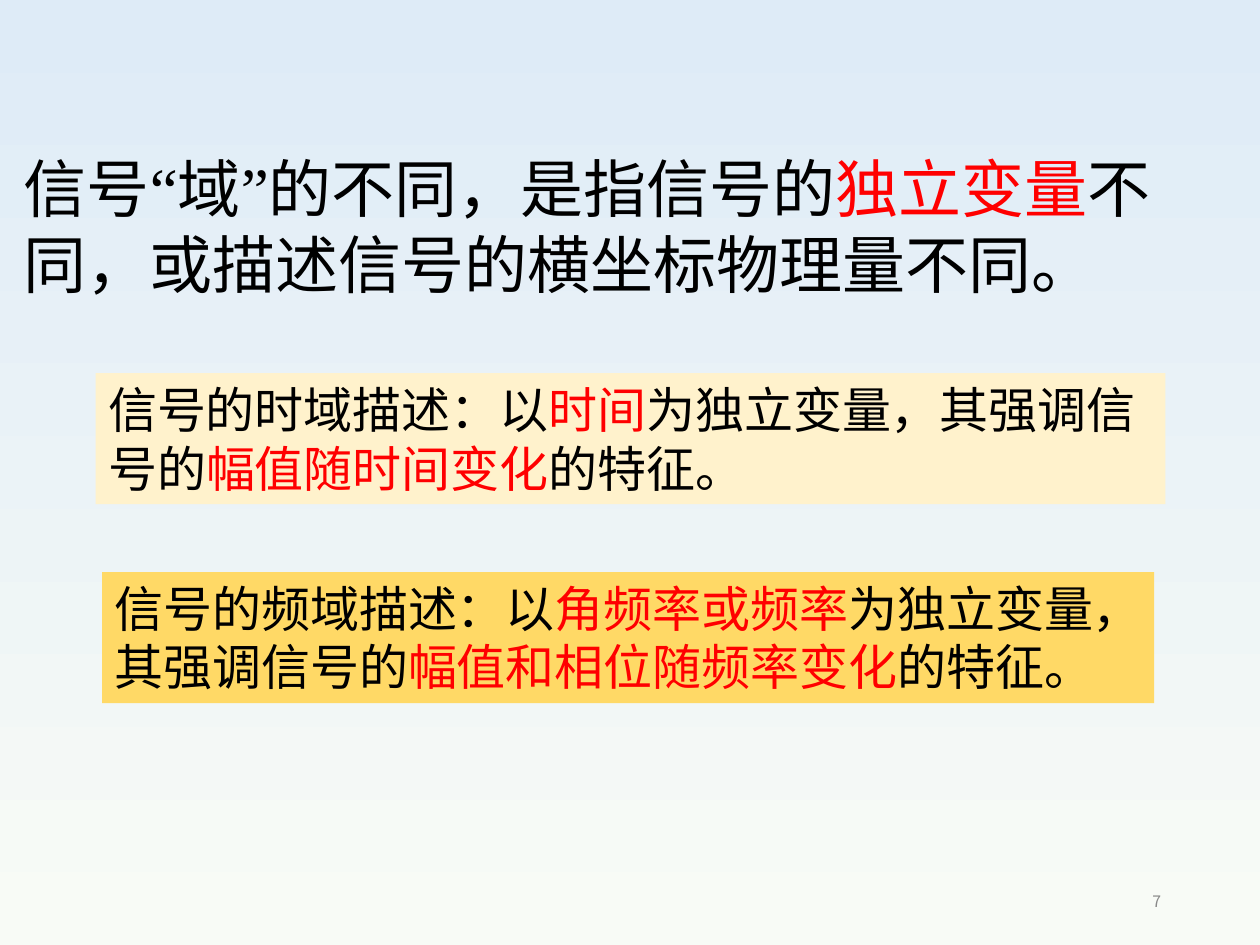
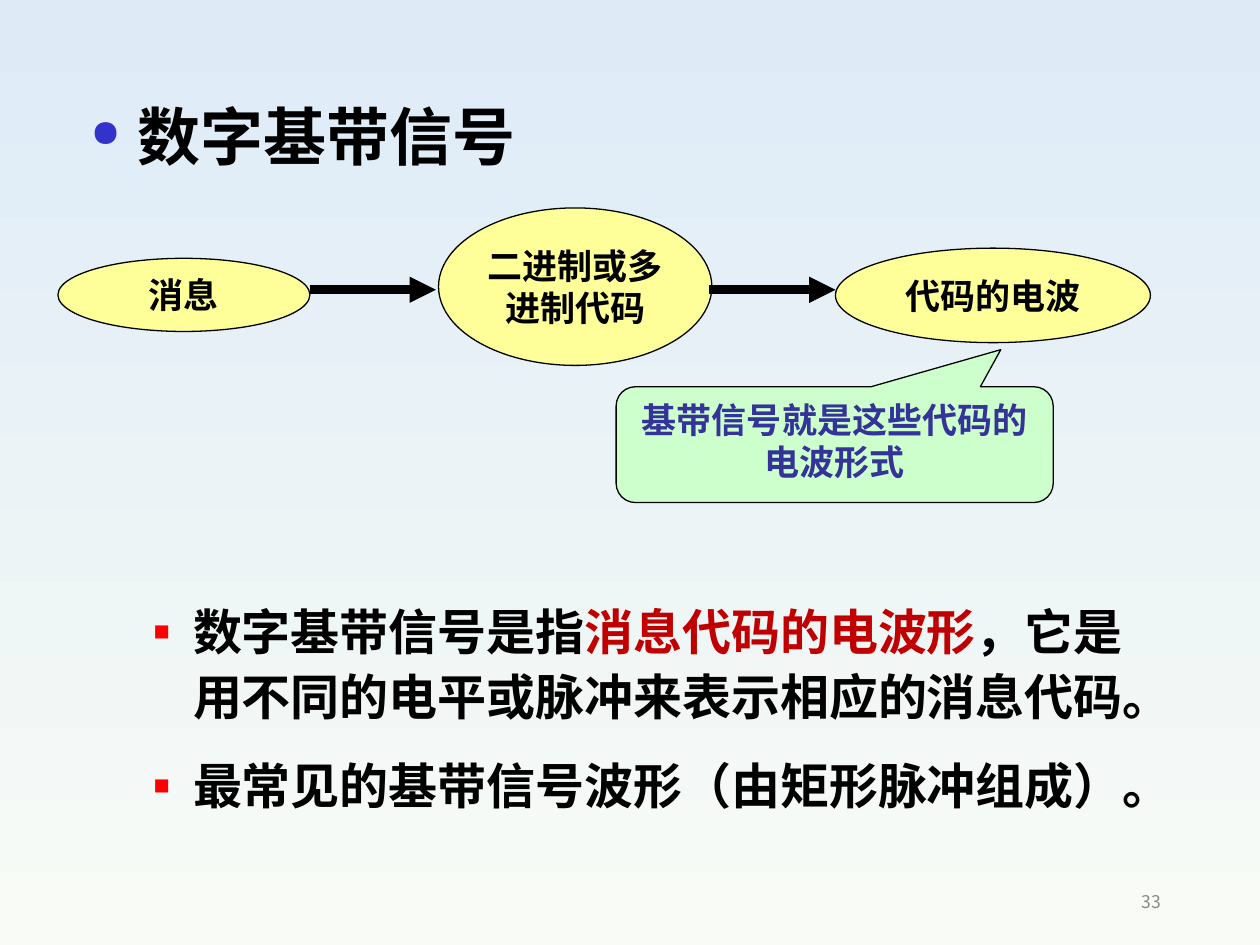
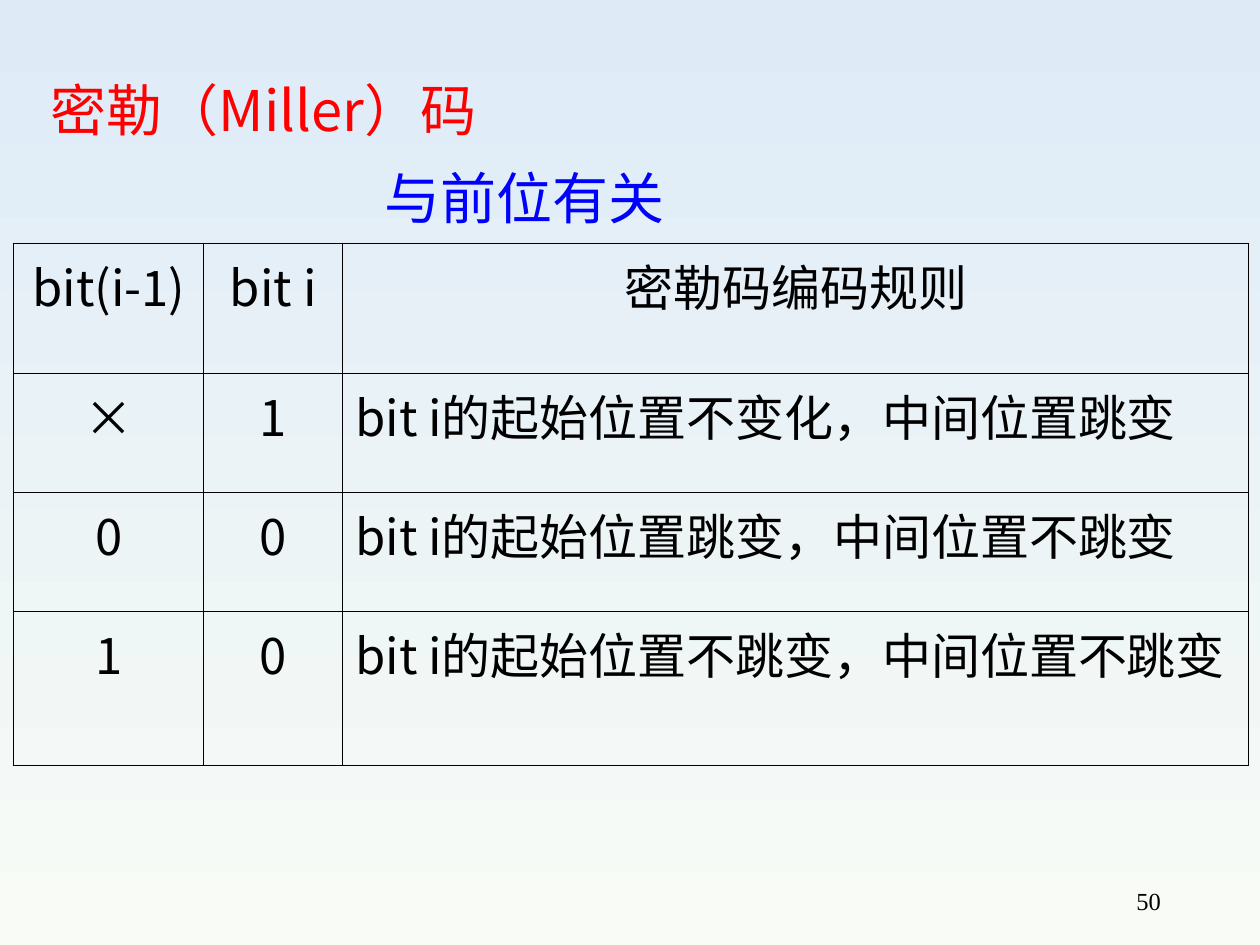
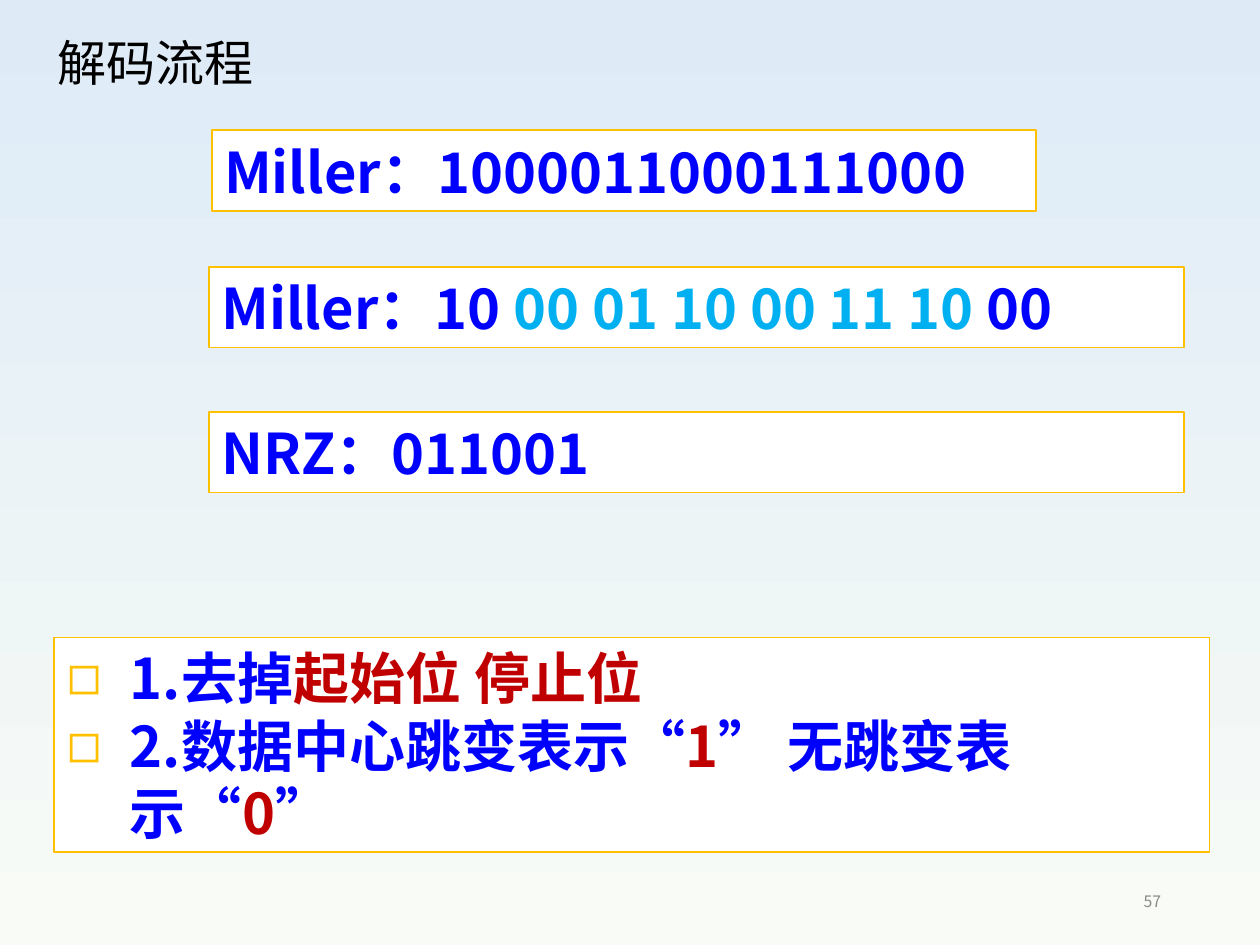
"""Build four lecture slides on signal domains, baseband signals and Miller code."""
from lxml.etree import SubElement
from pptx import Presentation
from pptx.dml.color import RGBColor
from pptx.enum.shapes import MSO_CONNECTOR, MSO_SHAPE
from pptx.enum.text import MSO_ANCHOR, MSO_AUTO_SIZE, PP_ALIGN
from pptx.oxml.ns import qn
from pptx.util import Pt

SANS, SANS_KR, SERIF = "Noto Sans CJK SC", "Noto Sans CJK KR", "Times New Roman"
BLACK, WHITE, RED, DARK_RED = "000000", "FFFFFF", "FF0000", "C00000"
BLUE, SKY, NAVY, INDIGO = "0000FF", "00B0F0", "333399", "3333CC"
GOLD, GRAY, YELLOW, MINT = "FFC000", "898989", "FFFF99", "CCFFCC"
SKY_TOP, SKY_BOTTOM = "DEEBF7", "F8FBF6"
TITLE_ONLY, TITLE_BODY = 5, 1
LEFT, CENTER, RIGHT = PP_ALIGN.LEFT, PP_ALIGN.CENTER, PP_ALIGN.RIGHT
TOP, MIDDLE = MSO_ANCHOR.TOP, MSO_ANCHOR.MIDDLE


def rgb(hex_color):
    return RGBColor.from_string(hex_color)


def add_run(p, text, size, color, font, bold):
    r = p.add_run()
    r.text = text
    r.font.size, r.font.bold, r.font.name = Pt(size), bold, font
    r.font.color.rgb = rgb(color)
    SubElement(r._r.get_or_add_rPr(), qn("a:ea")).set("typeface", font)


def add_bullet(p, char, color, indent, margin, percent=100):
    pPr = p._p.get_or_add_pPr()
    pPr.set("marL", str(Pt(margin)))
    pPr.set("indent", str(-Pt(indent)))
    clr = SubElement(pPr, qn("a:buClr"))
    SubElement(clr, qn("a:srgbClr")).set("val", color)
    SubElement(pPr, qn("a:buSzPct")).set("val", str(percent * 1000))
    SubElement(pPr, qn("a:buChar")).set("char", char)


def write(tf, paragraphs, size, color=BLACK, font=SANS, bold=False, align=LEFT,
          anchor=MIDDLE, wrap=True, leading=1.2, gap=0, bullet=None):
    """Fill a text frame; a run is text, or (text, color), or (text, color, font)."""
    tf.word_wrap, tf.auto_size, tf.vertical_anchor = wrap, MSO_AUTO_SIZE.NONE, anchor
    for i, runs in enumerate(paragraphs):
        p = tf.add_paragraph() if i else tf.paragraphs[0]
        if bullet:
            add_bullet(p, **bullet)
        p.alignment = align
        if leading:
            p.line_spacing = Pt(round(size * leading, 1))
        p.space_before = Pt(gap if i else 0)
        for run in runs:
            text, run_color, run_font = (
                (run, color, font) if isinstance(run, str) else (*run, font)[:3])
            add_run(p, text, size, run_color, run_font, bold)


def place(sp, left, top, width, height):
    sp.left, sp.top, sp.width, sp.height = Pt(left), Pt(top), Pt(width), Pt(height)


def paint(sp, fill, line=None, weight=1):
    sp.fill.solid()
    sp.fill.fore_color.rgb = rgb(fill)
    if line:
        sp.line.color.rgb = rgb(line)
        sp.line.width = Pt(weight)
    else:
        sp.line.fill.background()


def add_title(s, box, runs, size, **style):
    sp = s.shapes.title
    place(sp, *box)
    write(sp.text_frame, [runs], size, **style)


def add_list(s, box, paragraphs, size, **style):
    sp = s.placeholders[1]
    place(sp, *box)
    write(sp.text_frame, paragraphs, size, **style)
    return sp


def add_text(s, box, paragraphs, size, **style):
    sp = s.shapes.add_textbox(*map(Pt, box))
    write(sp.text_frame, paragraphs, size, **style)


def add_panel(s, kind, box, fill, paragraphs, size, line=None, weight=1, **style):
    sp = s.shapes.add_shape(kind, *map(Pt, box))
    sp.shadow.inherit = False
    paint(sp, fill, line, weight)
    write(sp.text_frame, paragraphs, size, **style)
    return sp


def add_arrow(s, x1, x2, y):
    cx = s.shapes.add_connector(MSO_CONNECTOR.STRAIGHT, Pt(x1), Pt(y), Pt(x2), Pt(y))
    cx.line.color.rgb = rgb(BLACK)
    cx.line.width = Pt(5)
    SubElement(cx.line._get_or_add_ln(), qn("a:tailEnd")).set("type", "triangle")
    SubElement(cx._element.spPr, qn("a:effectLst"))


def add_border(cell, side, weight):
    ln = SubElement(cell._tc.get_or_add_tcPr(), qn(f"a:ln{side}"))
    ln.set("w", str(Pt(weight)))
    fill = SubElement(ln, qn("a:solidFill"))
    SubElement(fill, qn("a:srgbClr")).set("val", BLACK)


def add_grid(s, left, top, widths, heights, rows, size):
    frame = s.shapes.add_table(len(heights), len(widths), Pt(left), Pt(top),
                               Pt(sum(widths)), Pt(sum(heights)))
    table = frame.table
    table.first_row = table.horz_banding = False
    for column, width in zip(table.columns, widths):
        column.width = Pt(width)
    last_row, last_col = len(heights) - 1, len(widths) - 1
    for i, row in enumerate(rows):
        table.rows[i].height = Pt(heights[i])
        for j, text in enumerate(row):
            cell = table.cell(i, j)
            outer = {"L": j == 0, "R": j == last_col, "T": i == 0, "B": i == last_row}
            for side, is_outer in outer.items():
                add_border(cell, side, 0.75 if is_outer else 0.45)
            cell.fill.background()
            align = LEFT if i and j == last_col else CENTER
            write(cell.text_frame, [[text]], size, align=align, leading=None)
            cell.vertical_anchor = TOP


def add_slide(prs, layout, number, size=9, color=GRAY, font=SANS_KR):
    s = prs.slides.add_slide(prs.slide_layouts[layout])
    add_text(s, (508.5, 500.5, 162, 28.8), [[number]], size,
             color=color, font=font, align=RIGHT)
    return s


def set_background(prs):
    fill = prs.slide_master.background.fill
    fill.gradient()
    fill.gradient_angle = 270
    for stop, color in zip(fill.gradient_stops, (SKY_TOP, SKY_BOTTOM)):
        stop.color.rgb = rgb(color)


def build_domains(prs):
    s = add_slide(prs, TITLE_ONLY, "7")
    add_title(s, (6.5, 82, 665, 93.6),
              ["信号", ("“", BLACK, SERIF), "域", ("”", BLACK, SERIF),
               "的不同，是指信号的", ("独立变量", RED),
               "不同，或描述信号的横坐标物理量不同。"], 36)
    add_panel(s, MSO_SHAPE.RECTANGLE, (54.7, 213.3, 611.3, 74.9), "FFF2CC",
              [["信号的时域描述：以", ("时间", RED), "为独立变量，其强调信号的",
                ("幅值随时间变化", RED), "的特征。"]], 28)
    add_panel(s, MSO_SHAPE.RECTANGLE, (58.3, 326.9, 601.2, 74.9), "FFD966",
              [["信号的频域描述：以", ("角频率或频率", RED), "为独立变量，其强调信号的",
                ("幅值和相位随频率变化", RED), "的特征。"]], 28, font=SANS_KR, anchor=TOP)


def build_baseband(prs):
    s = add_slide(prs, TITLE_BODY, "33", size=10)
    add_title(s, (44.6, 52, 627, 52), ["数字基带信号"], 36, bold=True, anchor=TOP,
              bullet=dict(char="●", color=INDIGO, indent=27, margin=27, percent=60))
    add_list(s, (44.6, 337, 627, 162),
             [["数字基带信号是指", ("消息代码的电波形", DARK_RED),
               "，它是用不同的电平或脉冲来表示相应的消息代码。"],
              ["最常见的基带信号波形（由矩形脉冲组成）。"]],
             28, bold=True, anchor=TOP, leading=1.32, gap=14,
             bullet=dict(char="■", color=RED, indent=22.5, margin=58.5, percent=55))
    stages = [((33.1, 147.6, 144, 41.8), ["消息"]),
              ((250.6, 118.8, 156.2, 90), ["二进制或多", "进制代码"]),
              ((477.4, 141.8, 180, 54), ["代码的电波"])]
    for box, lines in stages:
        add_panel(s, MSO_SHAPE.OVAL, box, YELLOW, [[line] for line in lines], 20,
                  line=BLACK, weight=0.75, bold=True, align=CENTER, wrap=False)
    for start in (177.1, 405.4):
        add_arrow(s, start, start + 72, 165.6)
    callout = add_panel(s, MSO_SHAPE.ROUNDED_RECTANGULAR_CALLOUT,
                        (352.1, 221, 249.8, 66.2), MINT,
                        [["基带信号就是这些代码的电波形式"]], 20, line=BLACK,
                        weight=0.75, color=NAVY, bold=True, align=CENTER, anchor=TOP)
    callout.adjustments[0] = 0.38
    callout.adjustments[1] = -0.82


def build_miller_rules(prs):
    s = add_slide(prs, TITLE_ONLY, "50", size=14, color=BLACK, font=SERIF)
    add_title(s, (21.6, 39.6, 438.5, 336.2), ["密勒（Miller）码"], 32,
              color=RED, anchor=TOP)
    rows = [("bit(i-1)", "bit i", "密勒码编码规则"),
            ("×", "1", "bit i的起始位置不变化，中间位置跳变"),
            ("0", "0", "bit i的起始位置跳变，中间位置不跳变"),
            ("1", "0", "bit i的起始位置不跳变，中间位置不跳变")]
    add_grid(s, 7.9, 139, (108.5, 79.5, 517.7), (74.4, 68, 68, 68), rows, 28)
    add_text(s, (212.4, 90, 181.4, 41.8), [["与前位有关"]], 32, color=BLUE, anchor=TOP)


def build_decoding(prs):
    s = add_slide(prs, TITLE_BODY, "57")
    add_title(s, (25.9, 15.1, 438.5, 336.2), ["解码流程"], 28, anchor=TOP)
    steps = add_list(s, (31, 364.3, 660.2, 122.4),
                     [["1.去掉", ("起始位 停止位", DARK_RED)],
                      ["2.数据中心跳变表示“", ("1", DARK_RED), "” 无跳变表示“",
                       ("0", DARK_RED), "”"]],
                     32, color=BLUE, bold=True,
                     bullet=dict(char="◻", color=GOLD, indent=36, margin=36))
    paint(steps, WHITE, GOLD)
    codes = [((121, 74.5, 470.9), ["Miller：1000011000111000"]),
             ((119.5, 152.6, 557.3),
              ["Miller：10 ", ("00 01 10 00 11 10", SKY), " 00"]),
             ((119.5, 235.4, 557.3), ["NRZ：011001"])]
    for box, runs in codes:
        add_panel(s, MSO_SHAPE.RECTANGLE, (*box, 46), WHITE, [runs], 32,
                  line=GOLD, color=BLUE, bold=True)


def main():
    prs = Presentation()
    prs.slide_width, prs.slide_height = Pt(720), Pt(540)
    set_background(prs)
    build_domains(prs)
    build_baseband(prs)
    build_miller_rules(prs)
    build_decoding(prs)
    prs.save("out.pptx")


if __name__ == "__main__":
    main()
